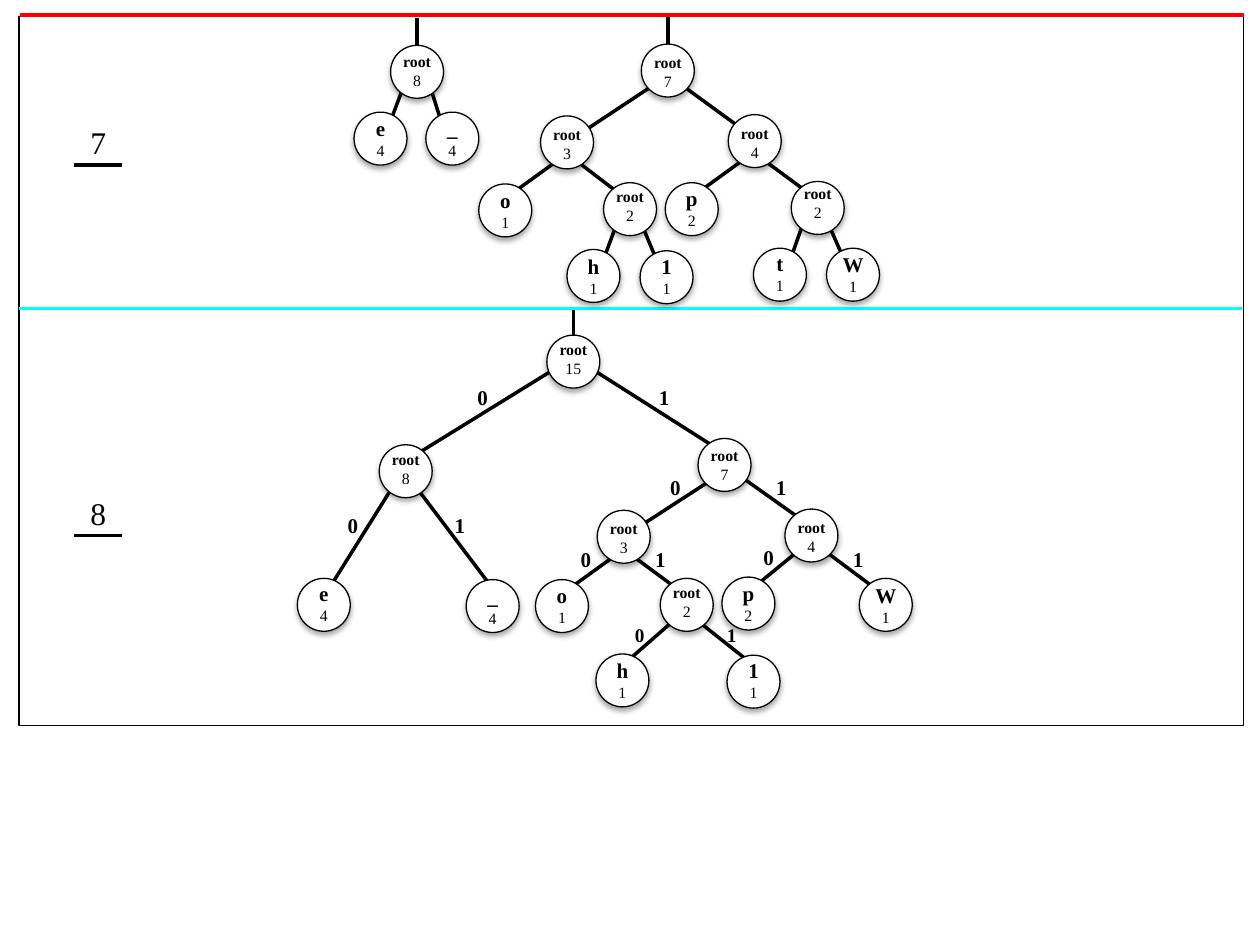
"""Builds the last two steps of a Huffman tree on one slide."""
from lxml import etree
from pptx import Presentation
from pptx import util as u
from pptx.dml.color import RGBColor
from pptx.enum import shapes, text
from pptx.oxml import ns

HUES = {"ink": "000000", "paper": "FFFFFF", "split": "00FFFF", "top": "FF0000"}
COLS, ROWS = 100, 75
DOT = 4.2


class Board:
    """Holds the style and the slide, on a grid of 100 columns by 75 rows."""

    def __init__(self, deck):
        self.slide = deck.slides.add_slide(deck.slide_layouts[6])
        self.wide, self.high = deck.slide_width, deck.slide_height
        self.font = {"name": "Times New Roman"}

    def spot(self, x, y):
        return round(x * self.wide / COLS), round(y * self.high / ROWS)

    def hue(self, name):
        return RGBColor.from_string(HUES[name])

    def effect(self, shape):
        return etree.SubElement(shape._element.spPr, ns.qn("a:effectLst"))

    def shade(self, shape):
        cast = etree.SubElement(self.effect(shape), ns.qn("a:outerShdw"),
                                blurRad="40000", dist="23000", dir="5400000", rotWithShape="0")
        tone = etree.SubElement(cast, ns.qn("a:srgbClr"), val=HUES["ink"])
        etree.SubElement(tone, ns.qn("a:alpha"), val="35000")

    def line(self, x1, y1, x2, y2, hue="ink"):
        line = self.slide.shapes.add_connector(
            shapes.MSO_CONNECTOR.STRAIGHT, *self.spot(x1, y1), *self.spot(x2, y2))
        line.line.width = u.Pt(2)
        line.line.color.rgb = self.hue(hue)
        self.effect(line)

    def shape(self, kind, x, y, w, h, fill=None):
        shape = self.slide.shapes.add_shape(kind, *self.spot(x, y), *self.spot(w, h))
        if fill:
            shape.fill.solid()
            shape.fill.fore_color.rgb = self.hue(fill)
        else:
            shape.fill.background()
        shape.line.width = u.Pt(0.75)
        shape.line.color.rgb = self.hue("ink")
        if fill:
            self.shade(shape)
        else:
            shape.shadow.inherit = False

    def words(self, x, y, w, h, rows, align="CENTER", pad=1):
        box = self.slide.shapes.add_textbox(*self.spot(x, y), *self.spot(w, h))
        side = self.spot(pad, 0)[0]
        frame = box.text_frame
        for key, val in {"word_wrap": True, "margin_left": side, "margin_right": side,
                         "auto_size": text.MSO_AUTO_SIZE.SHAPE_TO_FIT_TEXT}.items():
            setattr(frame, key, val)
        for i, (word, size, bold) in enumerate(rows):
            para = frame.add_paragraph() if i else frame.paragraphs[0]
            para.alignment = getattr(text.PP_ALIGN, align)
            run = para.add_run()
            run.text = word
            for key, val in {**self.font, "size": u.Pt(size), "bold": bold}.items():
                setattr(run.font, key, val)
            run.font.color.rgb = self.hue("ink")

    def node(self, x, y, name, count, drop=-0.2):
        root = name == "root"
        self.shape(shapes.MSO_SHAPE.OVAL, x, y, DOT, DOT, "paper")
        self.words(x, y + drop, DOT, 4 if root else 4.5,
                   [(name, 9 if root else 12, True), (count, 9, False)], pad=0)

    def step(self, y, name):
        self.words(4.1, y, 7.4, 4, [(name, 18, False)])
        self.line(5.9, y + 3.8, 9.7, y + 3.8)

    def bit(self, x, y, name, size=12):
        self.words(x, y, 3.9, 3, [(name, size, True)], "LEFT")


EDGES = [
    (45, 11.3, 52.1, 6.6), (59.8, 10.9, 53.9, 6.6), (53, 5.4, 53, 1.3),
    (33.1, 5.5, 33.1, 1.4), (55.1, 15.5, 59.8, 12.1), (59.8, 12.1, 64, 15.2),
    (62.8, 20.4, 64.8, 14.7), (64.8, 15.6, 66.9, 20.4), (40.3, 15.6, 45, 12.2),
    (45, 12.2, 49.2, 15.4), (47.9, 20.6, 50, 14.9), (50, 15.6, 52.1, 20.6),
    (31, 9.6, 33.1, 4), (33.1, 3.6, 35.1, 9.9),
    (45.5, 28.7, 45.5, 24.6), (49.5, 42.6, 56.6, 38), (64.4, 41.8, 58.9, 37.9),
    (32.5, 36.4, 44.8, 28.8), (59.6, 46.8, 64, 43.2), (64.9, 43.3, 71.6, 48.3),
    (44.8, 47, 49.5, 43.6), (49.5, 43.6, 53.7, 46.7), (48.5, 53.6, 54.9, 48),
    (54.9, 48.9, 60.7, 53.5), (57.7, 36.1, 47, 29.3), (26, 46.9, 32, 37.3),
    (32, 37.3, 39.4, 47.1),
]
NODES = [
    (31, 3.6, "root", "8", 0), (28.1, 8.9, "e", "4"), (33.8, 8.9, "_", "4"),
    (50.9, 3.5, "root", "7", 0.2), (42.9, 9.2, "root", "3", 0.2),
    (57.8, 9.1, "root", "4", 0.2), (38, 14.6, "o", "1"), (47.9, 14.5, "root", "2"),
    (52.8, 14.5, "p", "2", -0.3), (62.8, 14.4, "root", "2", -0.3),
    (45, 19.8, "h", "1"), (50.8, 19.9, "1", "1", -0.3),
    (59.8, 19.7, "t", "1", -0.3), (65.6, 19.7, "W", "1"),
    (43.4, 26.6, "root", "15", -0.1), (30.1, 35.3, "root", "8", -0.1),
    (55.4, 34.8, "root", "7", 0.1), (47.4, 40.5, "root", "3", 0.2),
    (62.3, 40.4, "root", "4", 0.2), (23.6, 45.9, "e", "4", -0.3),
    (37, 46, "_", "4"), (42.5, 46, "o", "1", -0.3), (52.4, 45.9, "root", "2", -0.1),
    (57.3, 45.8, "p", "2"), (68.2, 45.9, "W", "1"), (47.3, 51.9, "h", "1"),
    (57.7, 52, "1", "1", -0.3),
]
PAIRS = [
    (30, 36.9, 51.3), (40.2, 26.6, 35.1), (37.2, 52.2, 60.6),
    (42.9, 45.1, 51), (49, 49.4, 56.7, 11),
]

deck = Presentation()
deck.slide_width, deck.slide_height = u.Inches(10), u.Inches(7.5)
board = Board(deck)
board.shape(shapes.MSO_SHAPE.RECTANGLE, 1.5, 1.3, 97.2, 56.3)
board.line(1.5, 24.5, 98.6, 24.5, "split")
for edge in EDGES:
    board.line(*edge)
for node in NODES:
    board.node(*node)
for y, name in ((9.3, "7"), (38.7, "8")):
    board.step(y, name)
for y, left, right, *size in PAIRS:
    board.bit(left, y, "0", *size)
    board.bit(right, y, "1", *size)
board.bit(59.6, 42.7, "0")
board.bit(66.7, 42.9, "1")
board.line(1.6, 1.2, 98.7, 1.2, "top")
deck.save("out.pptx")
